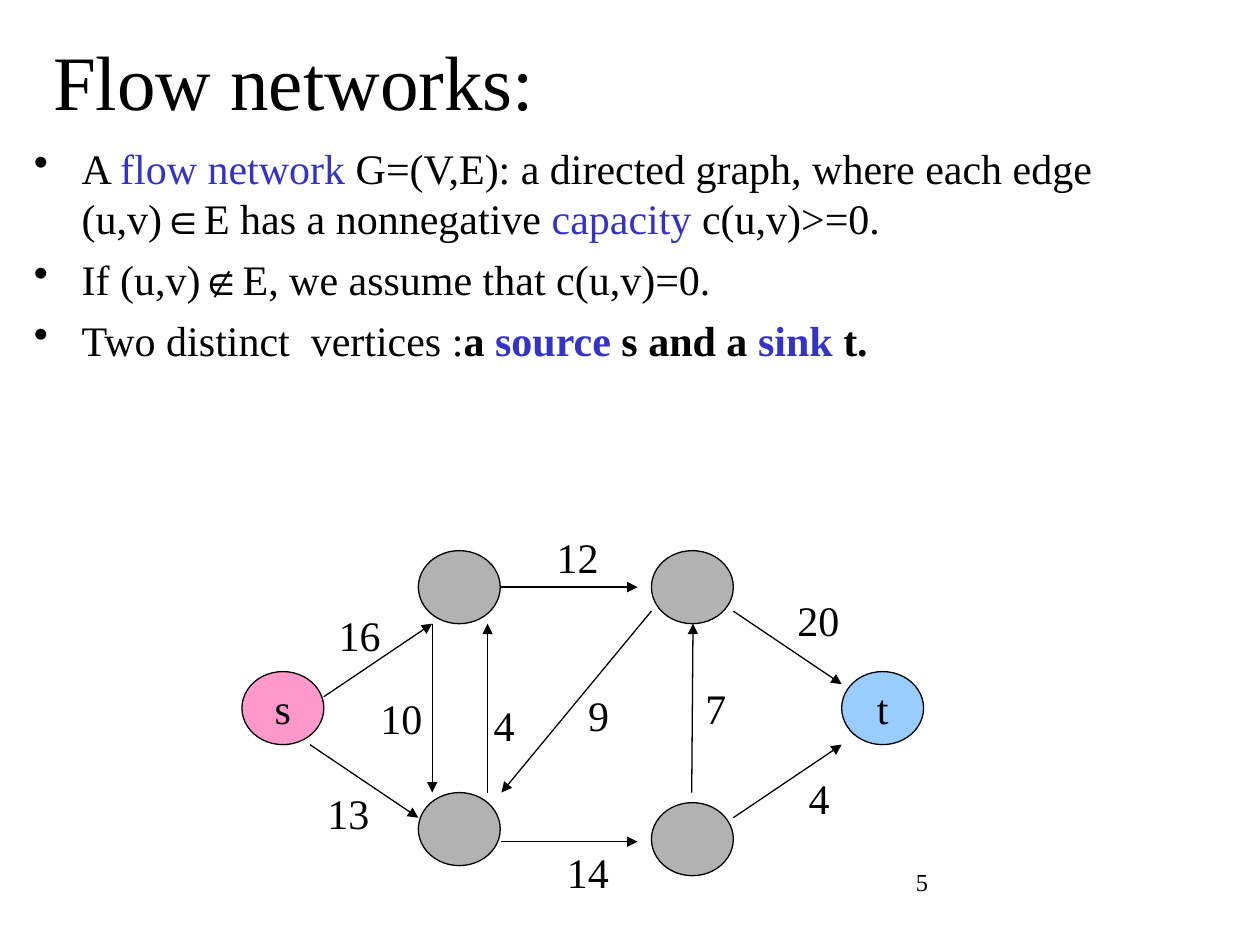
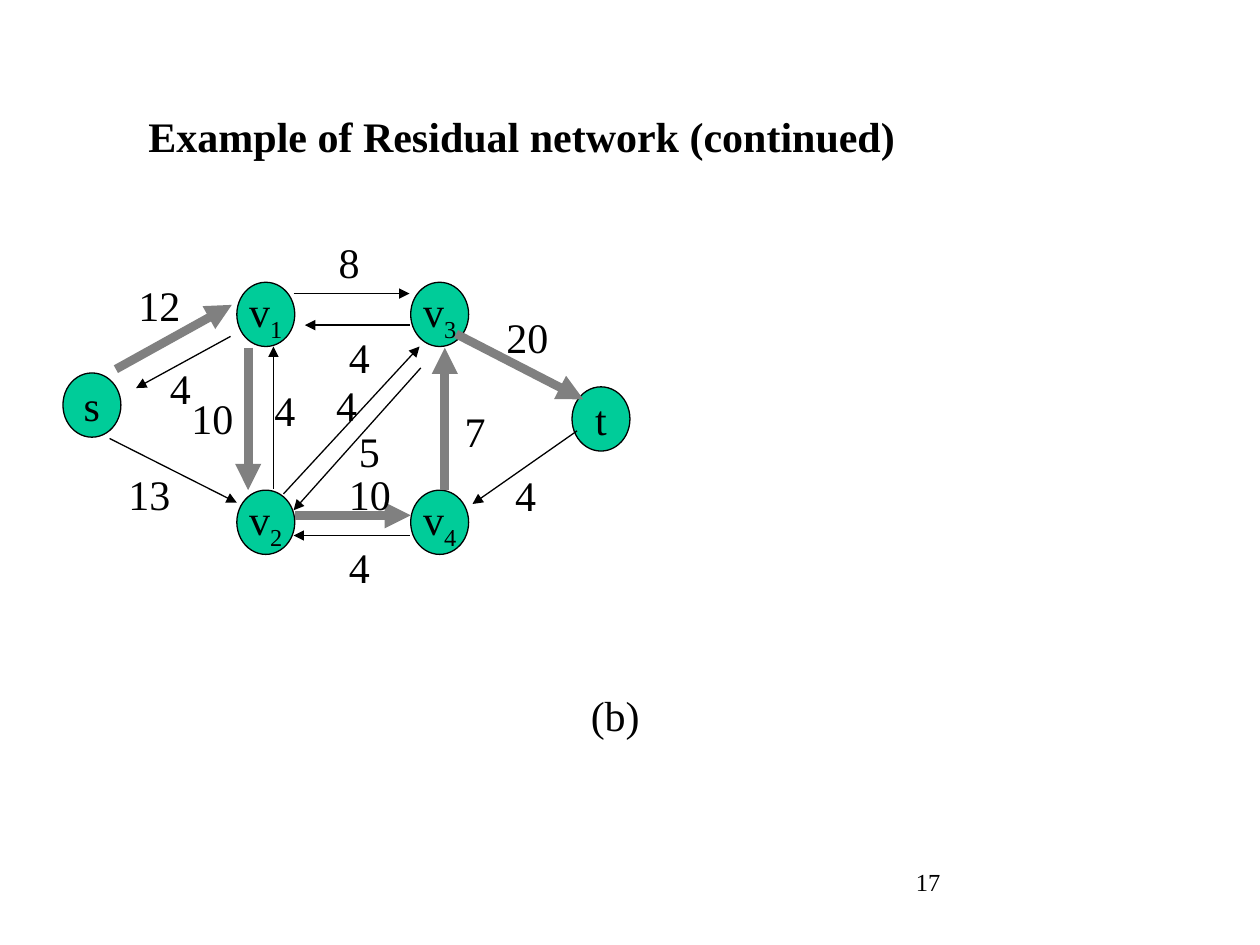
from lxml import etree
from pptx import Presentation
from pptx.dml.color import RGBColor
from pptx.enum.shapes import MSO_CONNECTOR, MSO_SHAPE
from pptx.enum.text import MSO_ANCHOR, PP_ALIGN
from pptx.oxml.ns import qn
from pptx.util import Inches, Pt

OVAL, STRAIGHT = MSO_SHAPE.OVAL, MSO_CONNECTOR.STRAIGHT
TOP, MIDDLE, CENTER = MSO_ANCHOR.TOP, MSO_ANCHOR.MIDDLE, PP_ALIGN.CENTER

COLORS = {
    "ink": "000000", "term": "3333CC", "path": "808080",
    "source": "FF99CC", "sink": "99CCFF", "vertex": "B2B2B2", "residual": "00CC99",
}
SERIF, SYMBOL_FONT = "Times New Roman", "Arial"
TEXT_SIZE = 24
THIN, THICK = 0.75, 5


def write(paragraph, *runs, size=TEXT_SIZE):
    """Add (text, styles) runs; styles are any of term, bold, symbol and sub."""
    for text, styles in runs:
        run = paragraph.add_run()
        run.text = text
        run.font.size = Pt(size)
        run.font.name = SYMBOL_FONT if "symbol" in styles else SERIF
        run.font.bold = "bold" in styles
        color = COLORS["term" if "term" in styles else "ink"]
        run.font.color.rgb = RGBColor.from_string(color)
        if "sub" in styles:
            run.font._element.set("baseline", "-25000")


def add_box(slide, left, top, width, height, wrap=True, anchor=TOP):
    frame = slide.shapes.add_textbox(
        Inches(left), Inches(top), Inches(width), Inches(height)).text_frame
    frame.word_wrap = wrap
    frame.vertical_anchor = anchor
    return frame


prs = Presentation()
prs.slide_width, prs.slide_height = Inches(10), Inches(7.5)
blank = prs.slide_layouts[6]
definition = prs.slides.add_slide(blank)
residual = prs.slides.add_slide(blank)

# Page numbers
for slide, number in ((definition, "5"), (residual, "17")):
    write(add_box(slide, 7.17, 6.83, 2.08, 0.5).paragraphs[0], (number, ""), size=14)

# Titles
heading = add_box(definition, 0.17, 0.17, 9.67, 0.92, anchor=MIDDLE).paragraphs[0]
write(heading, (" Flow networks:", ""), size=44)
heading = add_box(residual, 1.08, 0.83, 7.17, 0.5).paragraphs[0]
heading.space_before = Pt(15)
write(heading, ("Example of Residual network (continued)", "bold"))

# Definition bullets
bullets = [
    [("A ", ""), ("flow network", "term"),
     (" G=(V,E): a directed graph, where each edge (u,v)", ""), ("∈", "symbol"),
     ("E has a nonnegative ", ""), ("capacity", "term"), (" c(u,v)>=0.", "")],
    [("If (u,v)", ""), ("∉", "symbol"), ("E, we assume that c(u,v)=0.", "")],
    [("Two distinct  vertices :", ""), ("a ", "bold"), ("source", "bold term"),
     (" s and a ", "bold"), ("sink", "bold term"), (" t.", "bold")],
]
body = add_box(definition, 0.17, 1.08, 9.67, 6.25)
for index, runs in enumerate(bullets):
    paragraph = body.add_paragraph() if index else body.paragraphs[0]
    paragraph.space_before = Pt(6)
    properties = paragraph._p.get_or_add_pPr()
    properties.set("marL", str(Inches(0.38)))
    properties.set("indent", str(-Inches(0.38)))
    etree.SubElement(properties, qn("a:buChar"), char="•")
    write(paragraph, *runs)

# Networks: nodes (left, top, name, fill), edges (from, to, weight),
# capacities (left, top, value)
networks = [
    {
        "slide": definition,
        "node_size": (0.65, 0.58),
        "nodes": [
            (1.92, 5.33, "s", "source"), (6.68, 5.33, "t", "sink"),
            (3.32, 4.37, "", "vertex"), (5.17, 4.37, "", "vertex"),
            (3.32, 6.29, "", "vertex"), (5.17, 6.37, "", "vertex"),
        ],
        "edges": [
            (2.57, 5.53, 3.43, 4.95, THIN), (2.46, 5.91, 3.32, 6.49, THIN),
            (3.43, 4.95, 3.43, 6.29, THIN), (3.87, 6.29, 3.87, 4.95, THIN),
            (3.98, 4.66, 5.06, 4.66, THIN), (3.98, 6.68, 5.06, 6.68, THIN),
            (5.82, 4.85, 6.68, 5.43, THIN), (5.82, 6.49, 6.68, 5.91, THIN),
            (5.49, 6.29, 5.5, 4.95, THIN), (5.17, 4.85, 3.98, 6.29, THIN),
        ],
        "capacities": [
            (2.59, 4.79, "16"), (4.32, 4.17, "12"), (6.23, 4.67, "20"),
            (2.92, 5.45, "10"), (3.82, 5.5, "4"), (4.57, 5.42, "9"),
            (5.5, 5.37, "7"), (6.32, 6.08, "4"), (2.5, 6.2, "13"),
            (4.4, 6.67, "14"),
        ],
    },
    {
        "slide": residual,
        "node_size": (0.46, 0.51),
        "nodes": [
            (0.5, 2.96, "s", "residual"), (4.54, 3.07, "t", "residual"),
            (1.88, 2.24, "v1", "residual"), (3.26, 2.24, "v3", "residual"),
            (1.88, 3.89, "v2", "residual"), (3.26, 3.89, "v4", "residual"),
        ],
        "edges": [
            (0.92, 2.93, 1.84, 2.42, THICK), (1.83, 2.67, 1.08, 3.08, THIN),
            (2.33, 2.33, 3.25, 2.33, THIN), (3.25, 2.58, 2.42, 2.58, THIN),
            (3.62, 2.65, 4.63, 3.17, THICK), (4.58, 3.42, 3.75, 4, THIN),
            (0.87, 3.48, 1.88, 3.99, THIN), (2.34, 4.09, 3.26, 4.09, THICK),
            (3.25, 4.25, 2.33, 4.25, THIN), (1.97, 2.76, 1.97, 3.89, THICK),
            (2.17, 3.88, 2.17, 2.75, THIN), (3.53, 3.89, 3.53, 2.76, THICK),
            (3.34, 2.92, 2.33, 4.05, THIN), (2.25, 3.92, 3.33, 2.75, THIN),
        ],
        "capacities": [
            (1, 2.17, "12"), (0.92, 3.67, "13"), (2.59, 1.83, "8"),
            (1.42, 3.07, "10"), (2.08, 3, "4"), (3.92, 2.42, "20"),
            (3.99, 3.68, "4"), (3.59, 3.17, "7"), (2.67, 4.25, "4"),
            (1.25, 2.83, "4"), (2.67, 2.58, "4"), (2.57, 2.96, "4"),
            (2.67, 3.67, "10"), (2.75, 3.33, "5"),
        ],
    },
]

for network in networks:
    slide = network["slide"]
    width, height = network["node_size"]

    for left, top, name, fill in network["nodes"]:
        node = slide.shapes.add_shape(
            OVAL, Inches(left), Inches(top), Inches(width), Inches(height))
        node.shadow.inherit = False
        node.fill.solid()
        node.fill.fore_color.rgb = RGBColor.from_string(COLORS[fill])
        node.line.color.rgb = RGBColor.from_string(COLORS["ink"])
        node.line.width = Pt(THIN)
        if name:
            node.text_frame.word_wrap = False
            node.text_frame.vertical_anchor = MIDDLE
            label = node.text_frame.paragraphs[0]
            label.alignment = CENTER
            write(label, (name[0], ""))
            if name[1:]:
                write(label, (name[1:], "sub"))

    for x1, y1, x2, y2, weight in network["edges"]:
        edge = slide.shapes.add_connector(
            STRAIGHT, Inches(x1), Inches(y1), Inches(x2), Inches(y2))
        color = COLORS["path" if weight == THICK else "ink"]
        edge.line.color.rgb = RGBColor.from_string(color)
        edge.line.width = Pt(weight)
        etree.SubElement(edge.line._get_or_add_ln(), qn("a:tailEnd"), type="triangle")
        etree.SubElement(edge._element.spPr, qn("a:effectLst"))

    for left, top, value in network["capacities"]:
        capacity = add_box(slide, left, top, 0.19 + 0.17 * len(value), 0.5, wrap=False)
        write(capacity.paragraphs[0], (value, ""))

# Figure caption
write(add_box(residual, 4.59, 5.42, 0.59, 0.5, wrap=False).paragraphs[0], ("(b)", ""))

prs.save("out.pptx")
